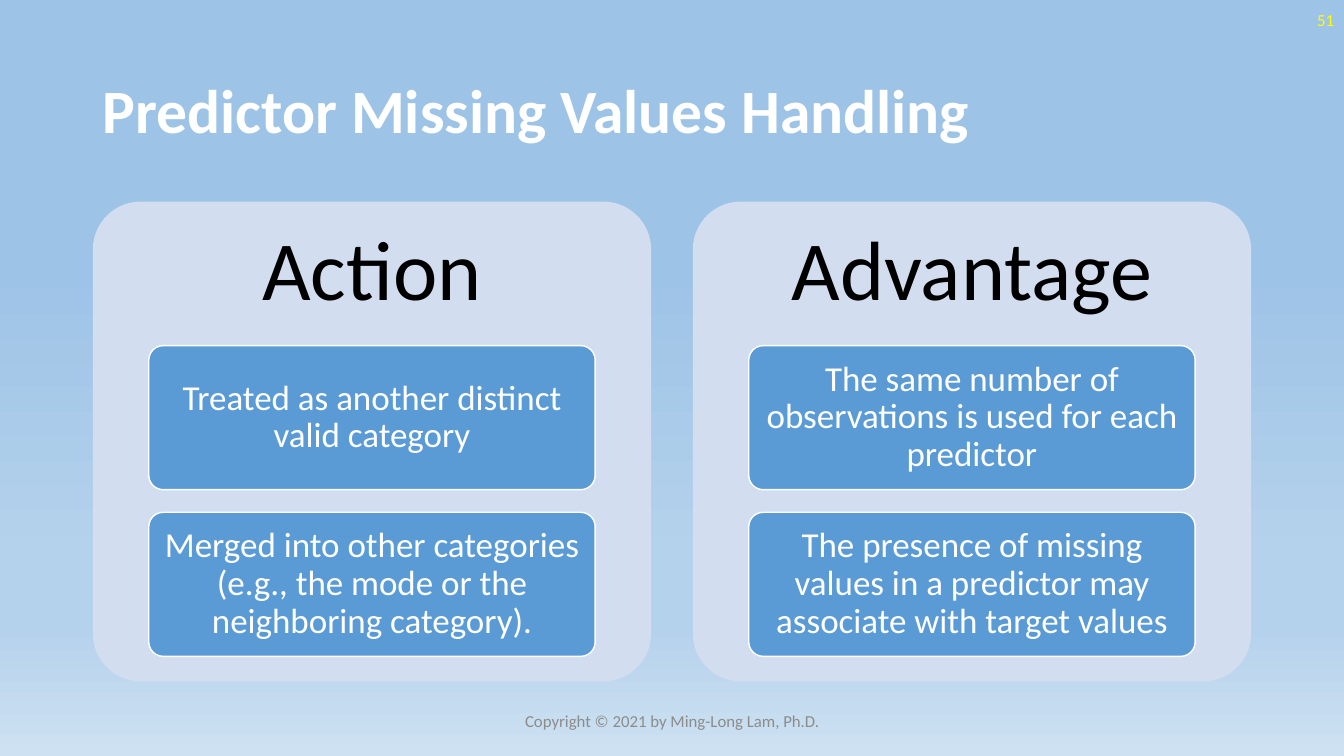
"""Build the slide on handling missing predictor values."""
from lxml.etree import SubElement
from pptx import Presentation
from pptx.dml.color import RGBColor
from pptx.enum.shapes import MSO_SHAPE
from pptx.enum.text import MSO_ANCHOR, PP_ALIGN
from pptx.oxml.ns import qn
from pptx.util import Cm, Pt

COLORS = {
    "sky": "9DC3E6", "mist": "B5D2EC", "haze": "CEE1F2",
    "panel": "D2DEEF", "card": "5B9BD5", "white": "FFFFFF",
    "black": "000000", "grey": "8C8C8C", "yellow": "FFFF00",
}
SKY_STOPS = [(35, "sky"), (74, "mist"), (83, "mist"), (100, "haze")]
COLUMNS = {
    "Action": [
        "Treated as another distinct valid category",
        "Merged into other categories (e.g., the mode or the neighboring category).",
    ],
    "Advantage": [
        "The same number of observations is used for each predictor",
        "The presence of missing values in a predictor may associate with target values",
    ],
}


class Deck:
    """Hold the style and the current slide."""

    font_name = "Calibri"

    def __init__(self, slide):
        self.slide = slide

    def color(self, name):
        return RGBColor.from_string(COLORS[name])

    def background(self, stops):
        fill = self.slide.background.fill
        fill.gradient()
        fill.gradient_angle = 270
        stop_list = self.slide.element.find(".//" + qn("a:gsLst"))
        for stop in list(stop_list):
            stop_list.remove(stop)
        for percent, name in stops:
            stop = SubElement(stop_list, qn("a:gs"), pos=str(percent * 1000))
            SubElement(stop, qn("a:srgbClr"), val=COLORS[name])

    def set_words(self, shape, words, size, color, align=PP_ALIGN.CENTER,
                  bold=False, spacing=0.9, margins=(0.25, 0.13)):
        frame = shape.text_frame
        across, down = (Cm(margin) for margin in margins)
        frame_format = {
            "word_wrap": True, "vertical_anchor": MSO_ANCHOR.MIDDLE,
            "margin_left": across, "margin_right": across,
            "margin_top": down, "margin_bottom": down,
        }
        for name, value in frame_format.items():
            setattr(frame, name, value)
        paragraph = frame.paragraphs[0]
        paragraph.alignment = align
        paragraph.line_spacing = spacing
        run = paragraph.add_run()
        run.text = words
        font_format = {"name": self.font_name, "size": Pt(size), "bold": bold}
        for name, value in font_format.items():
            setattr(run.font, name, value)
        run.font.color.rgb = self.color(color)

    def text(self, box, words, size, color, **style):
        label = self.slide.shapes.add_textbox(*map(Cm, box))
        self.set_words(label, words, size, color, **style)

    def rounded(self, box, fill, line=None):
        block = self.slide.shapes.add_shape(
            MSO_SHAPE.ROUNDED_RECTANGLE, *map(Cm, box))
        block.adjustments[0] = 0.1
        block.shadow.inherit = False
        block.fill.solid()
        block.fill.fore_color.rgb = self.color(fill)
        if line:
            block.line.color.rgb = self.color(line)
            block.line.width = Pt(1)
        else:
            block.line.fill.background()
        return block

    def column(self, left, heading, points):
        top, width, heading_height = 5.08, 14.07, 3.63
        card_width, card_height, card_step = 11.25, 3.63, 4.2
        self.rounded((left, top, width, 12.09), "panel")
        self.text((left, top, width, heading_height), heading, 60, "black",
                  margins=(0.64, 0.64))
        card_left = left + (width - card_width) / 2
        for row, point in enumerate(points):
            card_top = top + heading_height + row * card_step
            card = self.rounded((card_left, card_top, card_width, card_height),
                                "card", "white")
            self.set_words(card, point, 25, "white", margins=(0.18, 0.13))


def main():
    presentation = Presentation()
    presentation.slide_width = Cm(33.87)
    presentation.slide_height = Cm(19.05)
    deck = Deck(presentation.slides.add_slide(presentation.slide_layouts[6]))
    deck.background(SKY_STOPS)
    deck.text((2.34, 1.02, 29.21, 3.68), "Predictor Missing Values Handling",
              44, "white", align=PP_ALIGN.LEFT, bold=True)
    for index, (heading, points) in enumerate(COLUMNS.items()):
        deck.column(2.34 + index * 15.12, heading, points)
    deck.text((11.23, 17.65, 11.43, 1.02),
              "Copyright © 2021 by Ming-Long Lam, Ph.D.", 12, "grey", spacing=1.0)
    deck.text((26.25, 0, 7.62, 1.02), "51", 12, "yellow",
              align=PP_ALIGN.RIGHT, spacing=1.0)
    presentation.save("out.pptx")


if __name__ == "__main__":
    main()
